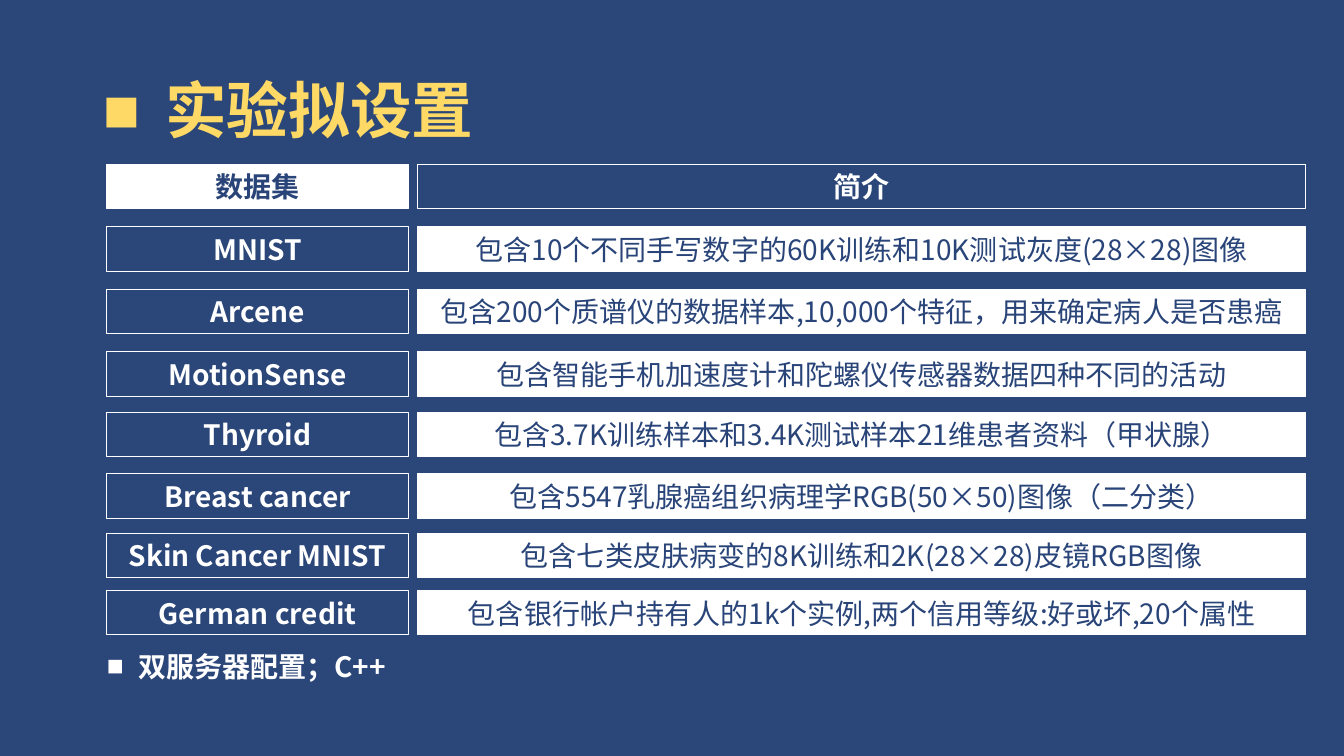
from dataclasses import dataclass

from lxml import etree
from pptx import Presentation
from pptx import util as u
from pptx.dml import color
from pptx.enum import shapes, text
from pptx.oxml import ns

TITLE = "实验拟设置"
NOTE = "双服务器配置；C++"
HEADER = (163, "数据集", "简介")
ROWS = [
    (225, "MNIST", "包含10个不同手写数字的60K训练和10K测试灰度(28×28)图像"),
    (287, "Arcene", "包含200个质谱仪的数据样本,10,000个特征，用来确定病人是否患癌"),
    (349, "MotionSense", "包含智能手机加速度计和陀螺仪传感器数据四种不同的活动"),
    (409, "Thyroid", "包含3.7K训练样本和3.4K测试样本21维患者资料（甲状腺）"),
    (470, "Breast cancer", "包含5547乳腺癌组织病理学RGB(50×50)图像（二分类）"),
    (529, "Skin Cancer MNIST", "包含七类皮肤病变的8K训练和2K(28×28)皮镜RGB图像"),
    (586, "German credit", "包含银行帐户持有人的1k个实例,两个信用等级:好或坏,20个属性"),
]
NAME_COLUMN = (106, 299)
ABOUT_COLUMN = (414, 881)
ROW_HEIGHT = 44


@dataclass(frozen=True)
class Theme:
    back: str = "2B4679"
    navy: str = "294478"
    white: str = "FFFFFF"
    gold: str = "FFD966"
    font: str = "Noto Sans CJK SC"
    title_size: int = 44
    text_size: int = 20


THEME = Theme()


def px(length):
    return u.Emu(length * 9144)


def rgb(value):
    return color.RGBColor.from_string(value)


def write(box, words, size, ink, bold, align):
    frame = box.text_frame
    frame.text = words
    frame.word_wrap = True
    frame.auto_size = text.MSO_AUTO_SIZE.NONE
    frame.vertical_anchor = text.MSO_ANCHOR.MIDDLE
    frame.margin_top = frame.margin_bottom = 0
    para = frame.paragraphs[0]
    para.alignment = align
    para.space_before = u.Pt(0)
    span = para.runs[0]
    span.font.size = u.Pt(size)
    span.font.bold = bold
    span.font.color.rgb = rgb(ink)
    span.font.name = THEME.font
    east = etree.SubElement(span.font._element, ns.qn("a:ea"))
    east.set("typeface", THEME.font)
    return para


def add_cell(slide, column, top, words, ink, bold, filled):
    left, width = column
    box = slide.shapes.add_shape(
        shapes.MSO_SHAPE.RECTANGLE, px(left), px(top), px(width), px(ROW_HEIGHT))
    box.shadow.inherit = False
    if filled:
        box.fill.solid()
        box.fill.fore_color.rgb = rgb(THEME.white)
    else:
        box.fill.background()
    box.line.color.rgb = rgb(THEME.white)
    box.line.width = u.Pt(0.75)
    box.text_frame.margin_left = box.text_frame.margin_right = 0
    write(box, words, THEME.text_size, ink, bold, text.PP_ALIGN.CENTER)


def add_bullet_line(box, place, words, size, ink, indent):
    box.left, box.top, box.width, box.height = map(px, place)
    para = write(box, words, size, ink, True, text.PP_ALIGN.LEFT)
    props = para._p.get_or_add_pPr()
    props.set("marL", str(px(indent)))
    props.set("indent", str(-px(indent)))
    etree.SubElement(props, ns.qn("a:buFont")).set("typeface", "Arial")
    etree.SubElement(props, ns.qn("a:buChar")).set("char", "■")
    return para


def main():
    deck = Presentation()
    deck.slide_width, deck.slide_height = px(1333), px(750)
    slide = deck.slides.add_slide(deck.slide_layouts[1])
    slide.background.fill.solid()
    slide.background.fill.fore_color.rgb = rgb(THEME.back)

    title, body = slide.placeholders
    heading = add_bullet_line(
        title, (92, 40, 1203, 145), TITLE, THEME.title_size, THEME.gold, 62)
    heading.line_spacing = 0.9
    add_bullet_line(
        body, (96, 639, 891, 44), NOTE, THEME.text_size, THEME.white, 31)

    top, name, about = HEADER
    add_cell(slide, NAME_COLUMN, top, name, THEME.navy, True, True)
    add_cell(slide, ABOUT_COLUMN, top, about, THEME.white, True, False)
    for top, name, about in ROWS:
        add_cell(slide, NAME_COLUMN, top, name, THEME.white, True, False)
        add_cell(slide, ABOUT_COLUMN, top, about, THEME.navy, False, True)

    deck.save("out.pptx")


if __name__ == "__main__":
    main()
